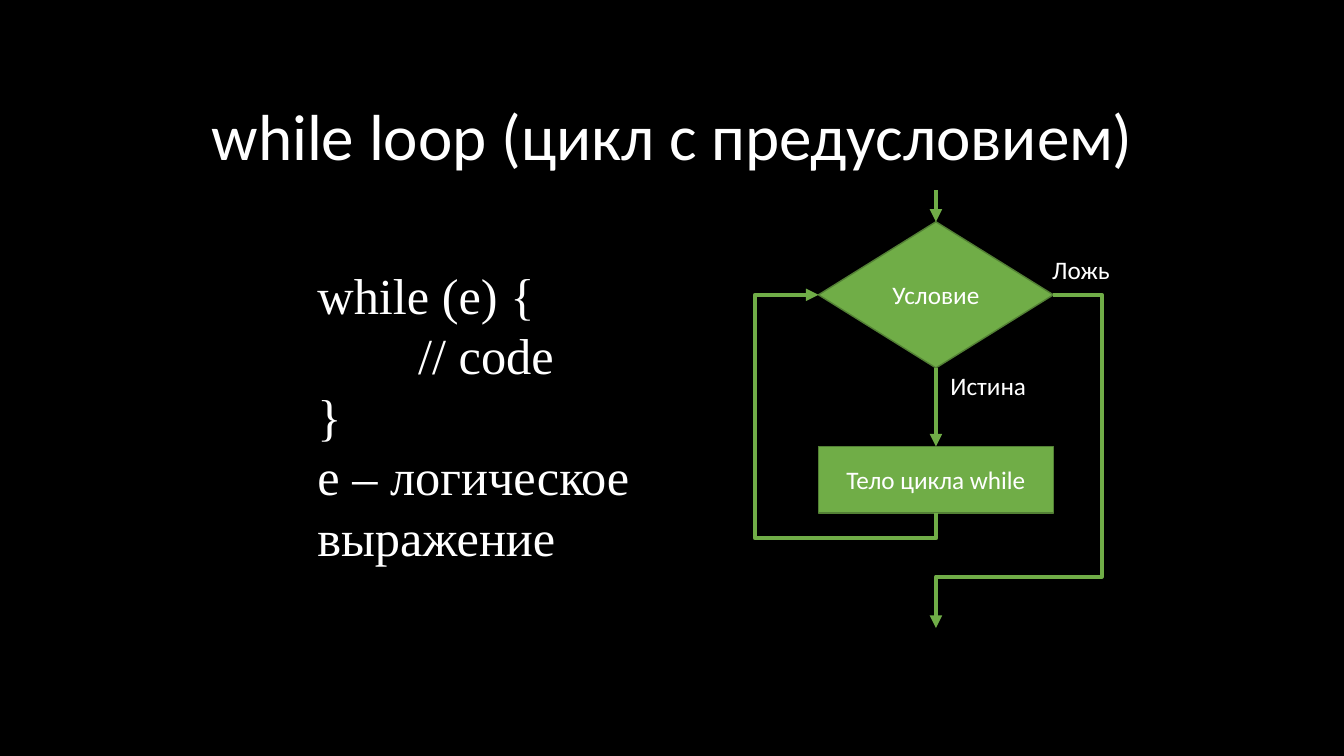
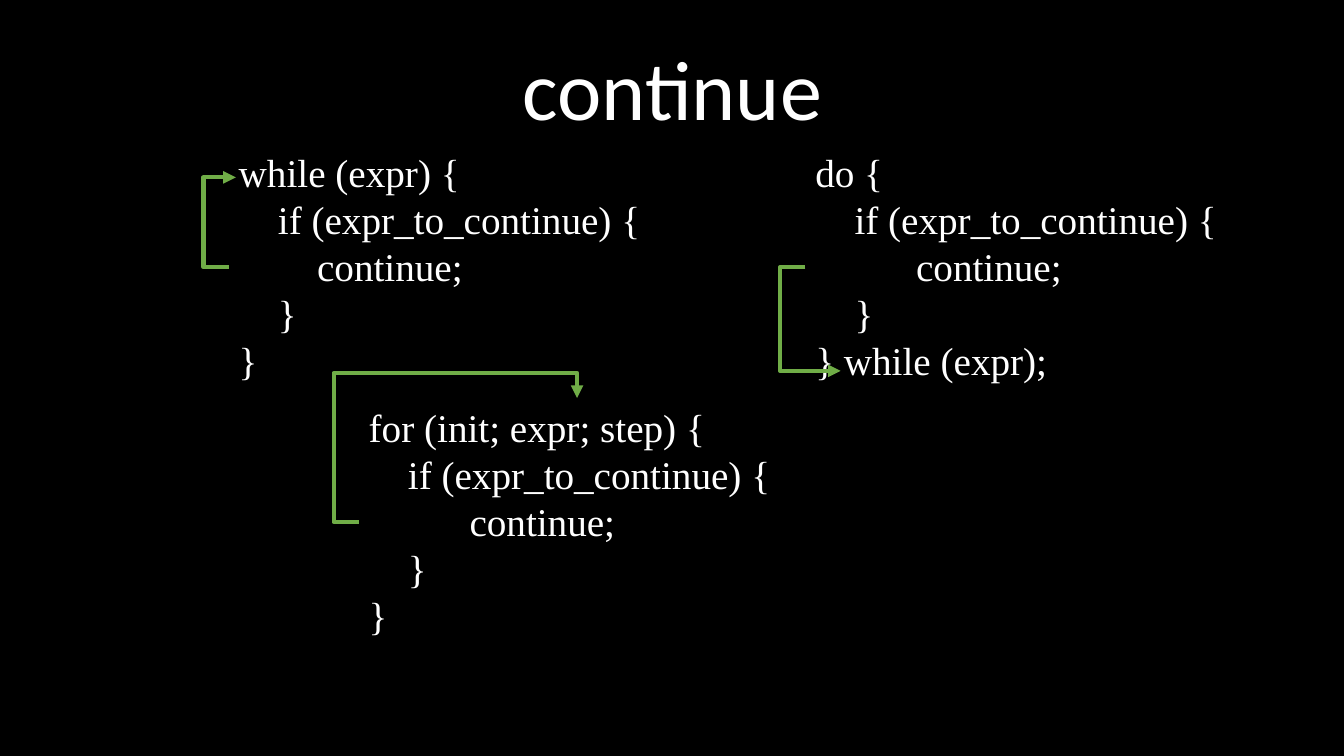
import pptx
import pptx.dml.color
import pptx.enum.shapes
import pptx.enum.text
import pptx.oxml.ns
import pptx.util
from lxml import etree

SHAPES = pptx.enum.shapes.MSO_SHAPE
ANCHOR = pptx.enum.text.MSO_ANCHOR
ALIGN = pptx.enum.text.PP_ALIGN
SITES = {"top": 0, "left": 1, "bottom": 2, "right": 3}
CODE_INDENT = 28
TAB = 72


def colour(hex_code):
    return pptx.dml.color.RGBColor.from_string(hex_code)


def child(parent, tag, **attributes):
    return etree.SubElement(parent, pptx.oxml.ns.qn("a:" + tag), attributes)


class Deck:
    """Draws dark lecture slides on a grid of tenth-inch columns and rows."""

    CELL = 0.1
    COLUMNS, ROWS = 133.33, 75
    BACK, TEXT, GREEN, EDGE = "000000", "FFFFFF", "70AD47", "538035"
    SANS, SERIF = "Calibri", "Times New Roman"

    def __init__(self):
        self.deck = pptx.Presentation()
        self.deck.slide_width = self.cells(self.COLUMNS)
        self.deck.slide_height = self.cells(self.ROWS)
        fill = self.deck.slide_master.background.fill
        fill.solid()
        fill.fore_color.rgb = colour(self.BACK)

    def cells(self, count):
        return pptx.util.Inches(count * self.CELL)

    def place(self, *lengths):
        return [self.cells(length) for length in lengths]

    def new_slide(self, title, top, size, spacing):
        self.slide = self.deck.slides.add_slide(self.deck.slide_layouts[6])
        heading = self.slide.shapes.add_textbox(*self.place(17.4, top, 98.6, 12.7))
        frame = heading.text_frame
        frame.word_wrap = True
        frame.vertical_anchor = ANCHOR.BOTTOM
        self.style(frame.paragraphs[0], title, size, self.SANS, ALIGN.CENTER)
        frame.paragraphs[0].line_spacing = spacing

    def style(self, paragraph, text, size, font, align=ALIGN.LEFT):
        paragraph.text = text
        paragraph.alignment = align
        paragraph.font.size = pptx.util.Pt(size)
        paragraph.font.name = font
        paragraph.font.color.rgb = colour(self.TEXT)

    def text(self, at, lines, size, font, wrap=False):
        box = self.slide.shapes.add_textbox(*self.place(*at))
        frame = box.text_frame
        frame.word_wrap = wrap
        frame.auto_size = pptx.enum.text.MSO_AUTO_SIZE.SHAPE_TO_FIT_TEXT
        for number, (indent, line) in enumerate(lines):
            paragraph = frame.add_paragraph() if number else frame.paragraphs[0]
            self.style(paragraph, line, size, font)
            if indent:
                properties = paragraph._p.get_or_add_pPr()
                properties.set("marL", str(pptx.util.Pt(indent)))
        return box

    def label(self, at, text):
        return self.text(at, [(0, text)], 18, self.SANS)

    def code(self, left, top, opening, closing, depth, wrap=False):
        lines = [
            (0, opening),
            (CODE_INDENT, "if (expr_to_continue) {"),
            (depth, "continue;"),
            (CODE_INDENT, "}"),
            (0, closing),
        ]
        return self.text((left, top, 43.3, 24.6), lines, 28, self.SERIF, wrap)

    def block(self, kind, at, text):
        block = self.slide.shapes.add_shape(kind, *self.place(*at))
        block.shadow.inherit = False
        block.fill.solid()
        block.fill.fore_color.rgb = colour(self.GREEN)
        block.line.color.rgb = colour(self.EDGE)
        block.line.width = pptx.util.Pt(1)
        block.text_frame.vertical_anchor = ANCHOR.MIDDLE
        self.style(block.text_frame.paragraphs[0], text, 18, self.SANS, ALIGN.CENTER)
        return block

    def arrow(self, begin, end, column=None, row=None, tip="tailEnd"):
        glued = [isinstance(place[1], str) for place in (begin, end)]
        start, stop = [
            (0, 0) if is_glued else self.place(*place)
            for place, is_glued in zip((begin, end), glued)
        ]
        kinds = pptx.enum.shapes.MSO_CONNECTOR
        kind = kinds.STRAIGHT if column is None else kinds.ELBOW
        arrow = self.slide.shapes.add_connector(kind, *start, *stop)
        if glued[0]:
            arrow.begin_connect(begin[0], SITES[begin[1]])
        if glued[1]:
            arrow.end_connect(end[0], SITES[end[1]])
        arrow.line.color.rgb = colour(self.GREEN)
        arrow.line.width = pptx.util.Pt(3)
        child(arrow.line._get_or_add_ln(), tip, type="triangle")
        child(arrow._element.spPr, "effectLst")
        if column is not None:
            self.bend(arrow, column, row)

    def bend(self, arrow, column, row):
        geometry = arrow._element.spPr.find(pptx.oxml.ns.qn("a:prstGeom"))
        for guides in list(geometry):
            geometry.remove(guides)
        guides = child(geometry, "avLst")
        spans = [(column, arrow.begin_x, arrow.end_x)]
        if row is not None:
            geometry.set("prst", "bentConnector4")
            spans.append((row, arrow.begin_y, arrow.end_y))
        for number, (via, start, stop) in enumerate(spans, 1):
            share = round((self.cells(via) - start) / (stop - start) * 100000)
            child(guides, "gd", name=f"adj{number}", fmla=f"val {share}")


def while_slide(deck):
    deck.new_slide("while loop (цикл с предусловием)", 4.8, 46.5, 0.7)
    lines = [(0, "while (e) {"), (TAB, "// code"), (0, "}"),
             (0, "e – логическое выражение")]
    deck.text((30.5, 25.7, 44.1, 37.4), lines, 36, deck.SERIF, wrap=True)
    left, width = 81.2, 23.3
    middle = left + width / 2
    condition = deck.block(SHAPES.DIAMOND, (left, 22, width, 14.5), "Условие")
    body = deck.block(SHAPES.RECTANGLE, (left, 44.3, width, 6.6), "Тело цикла while")
    deck.arrow((middle, 18.9), (condition, "top"))
    deck.arrow((condition, "bottom"), (body, "top"))
    deck.arrow((condition, "left"), (body, "bottom"), 74.9, 53.4, tip="headEnd")
    deck.arrow((condition, "right"), (middle, 62.3), 109.3, 57.2)
    deck.label((103.4, 24.7, 7.8, 4), "Ложь")
    deck.label((93.3, 36.2, 9.6, 4), "Истина")


def continue_slide(deck):
    deck.new_slide("continue", 1.5, 60, 0.9)
    while_code = deck.code(22.7, 14.2, "while (expr) {", "}", 2 * CODE_INDENT)
    do_code = deck.code(79.9, 14.2, "do {", "} while (expr);", TAB)
    for_code = deck.code(35.6, 39.5, "for (init; expr; step) {", "}", TAB, wrap=True)
    deck.arrow((while_code, "left"), (23.4, 17.6), 20.2)
    deck.arrow((do_code, "left"), (83.4, 36.8), 77.4)
    deck.arrow((for_code, "left"), (for_code, "top"), 33.1, 37)


def main():
    deck = Deck()
    while_slide(deck)
    continue_slide(deck)
    deck.deck.save("out.pptx")


if __name__ == "__main__":
    main()
